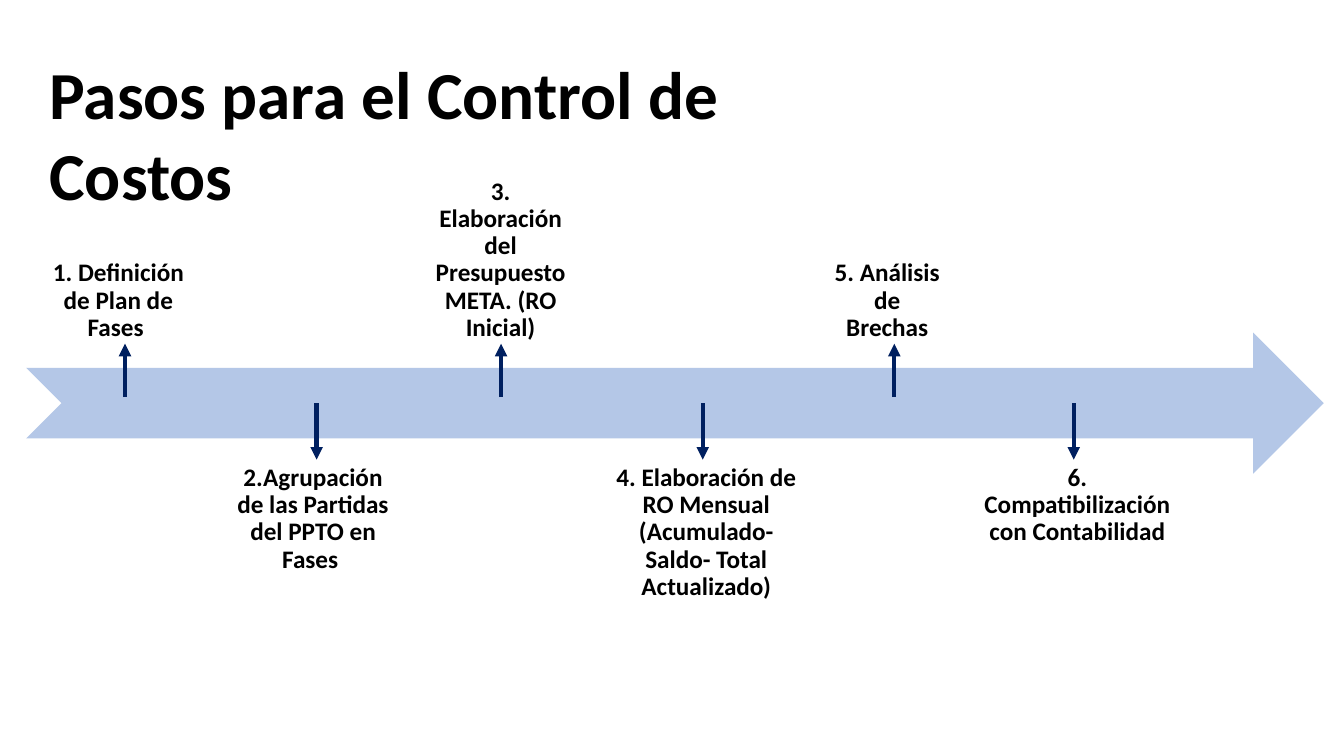
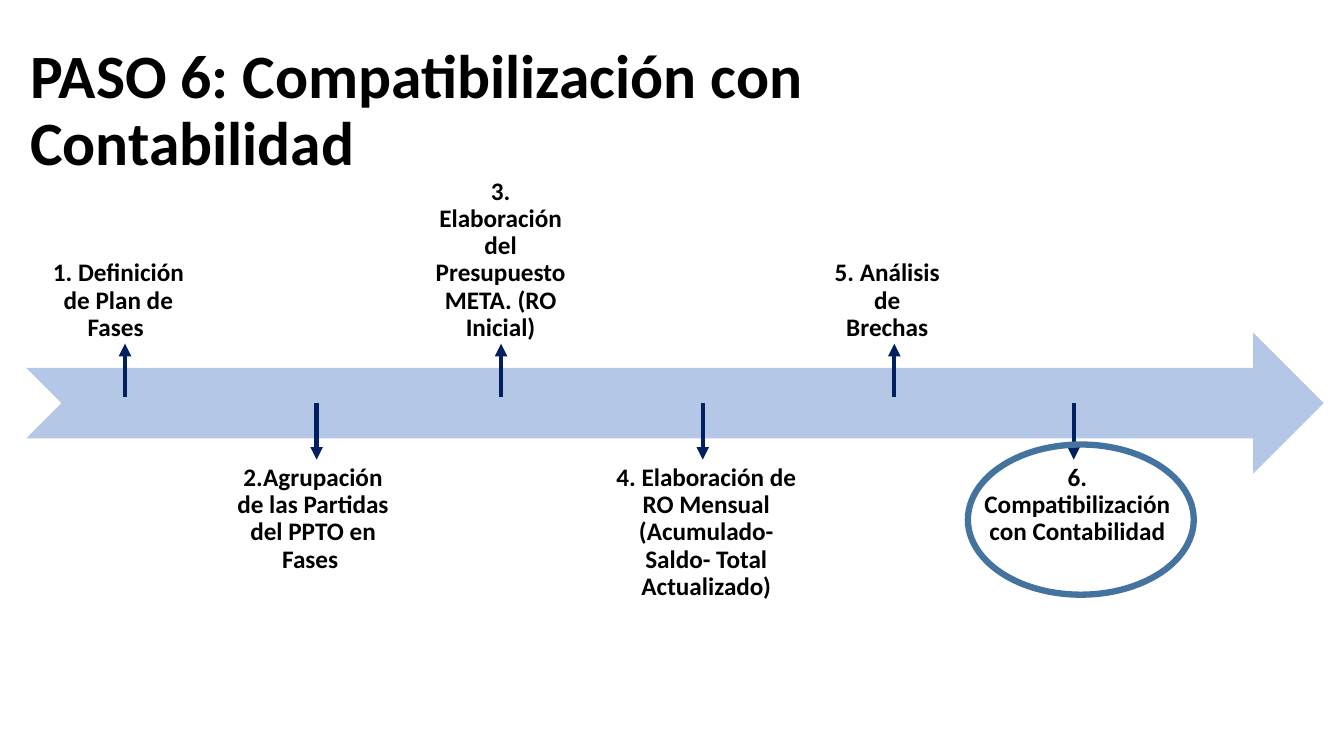
from lxml import etree
from pptx import Presentation
from pptx.dml.color import RGBColor
from pptx.enum.shapes import MSO_CONNECTOR, MSO_SHAPE
from pptx.enum.text import MSO_ANCHOR, MSO_AUTO_SIZE, PP_ALIGN
from pptx.oxml.ns import qn
from pptx.util import Inches, Pt

STRAIGHT = MSO_CONNECTOR.STRAIGHT
NOTCHED_ARROW, OVAL = MSO_SHAPE.NOTCHED_RIGHT_ARROW, MSO_SHAPE.OVAL
TOP, BOTTOM = MSO_ANCHOR.TOP, MSO_ANCHOR.BOTTOM
LEFT, CENTER = PP_ALIGN.LEFT, PP_ALIGN.CENTER
NO_AUTOFIT = MSO_AUTO_SIZE.NONE
TITLE_ONLY = 5

FONT = "Calibri"
INK, BAND, NAVY, RING = "000000", "B4C7E7", "002060", "43739E"

LABEL_HEIGHT = 1.89
UPPER_TOP, LOWER_TOP = 1.64, 4.47
UPPER_POINTER = (3.94, 3.41)
LOWER_POINTER = (4, 4.56)

# Label text, label left, label width, pointer x; steps alternate above and below the band
STEPS = [
    ("1. Definición de Plan de Fases ", 0.26, 1.83, 1.24),
    ("2.Agrupación de las Partidas del PPTO en Fases ", 2.16, 1.89, 3.14),
    ("3. Elaboración del Presupuesto META. (RO Inicial)", 4.12, 1.69, 4.97),
    ("4. Elaboración de RO Mensual (Acumulado- Saldo- Total Actualizado)",
     5.91, 2.19, 6.97),
    ("5. Análisis de Brechas", 8.13, 1.34, 8.87),
    ("6. Compatibilización con Contabilidad", 9.54, 2.29, 10.65),
]


def color(value):
    return RGBColor.from_string(value)


class Slides:
    """Holds the deck, its style and the page being drawn."""

    def __init__(self):
        self.deck = Presentation()
        self.deck.slide_width = Inches(13.33)
        self.deck.slide_height = Inches(7.5)
        self.page = None

    def add_page(self):
        layout = self.deck.slide_layouts[TITLE_ONLY]
        self.page = self.deck.slides.add_slide(layout)

    def set_text(self, box, text, size, align, anchor, spacing, inset_x, inset_y):
        frame = box.text_frame
        frame.word_wrap = True
        frame.auto_size = NO_AUTOFIT
        frame.vertical_anchor = anchor
        frame.margin_left = frame.margin_right = Inches(inset_x)
        frame.margin_top = frame.margin_bottom = Inches(inset_y)
        para = frame.paragraphs[0]
        para.alignment = align
        para.line_spacing = spacing
        para.space_before = Pt(0)
        span = para.add_run()
        span.text = text
        span.font.name = FONT
        span.font.size = Pt(size)
        span.font.bold = True
        span.font.color.rgb = color(INK)

    def title(self, text, left, top, width, height, size, anchor, spacing, inset_y):
        box = self.page.shapes.title
        box.left, box.top = Inches(left), Inches(top)
        box.width, box.height = Inches(width), Inches(height)
        self.set_text(box, text, size, LEFT, anchor, spacing, 0.1, inset_y)

    def label(self, text, left, top, width, anchor):
        box = self.page.shapes.add_textbox(
            Inches(left), Inches(top), Inches(width), Inches(LABEL_HEIGHT))
        self.set_text(box, text, 18, CENTER, anchor, 0.9, 0.14, 0.14)

    def shape(self, kind, left, top, width, height):
        shape = self.page.shapes.add_shape(
            kind, Inches(left), Inches(top), Inches(width), Inches(height))
        shape.shadow.inherit = False
        return shape

    def band(self):
        arrow = self.shape(NOTCHED_ARROW, 0.26, 3.3, 12.87, 1.4)
        arrow.fill.solid()
        arrow.fill.fore_color.rgb = color(BAND)
        arrow.line.fill.background()

    def ring(self, left, top, width, height):
        ring = self.shape(OVAL, left, top, width, height)
        ring.fill.background()
        ring.line.color.rgb = color(RING)
        ring.line.width = Pt(4.5)

    def pointer(self, x, start, end):
        line = self.page.shapes.add_connector(
            STRAIGHT, Inches(x), Inches(start), Inches(x), Inches(end))
        line.line.color.rgb = color(NAVY)
        line.line.width = Pt(3)
        properties = line._element.spPr
        outline = properties.find(qn("a:ln"))
        etree.SubElement(outline, qn("a:tailEnd"), type="triangle")
        etree.SubElement(properties, qn("a:effectLst"))

    def timeline(self):
        self.band()
        for index, (text, left, width, x) in enumerate(STEPS):
            if index % 2 == 0:
                self.label(text, left, UPPER_TOP, width, BOTTOM)
                self.pointer(x, *UPPER_POINTER)
            else:
                self.label(text, left, LOWER_TOP, width, TOP)
                self.pointer(x, *LOWER_POINTER)


def main():
    slides = Slides()

    slides.add_page()
    slides.title("Pasos para el Control de Costos",
                 0.39, 0.47, 8.47, 1.7, 48, TOP, 1, 0.05)
    slides.timeline()

    slides.add_page()
    slides.title("PASO 6: Compatibilización con Contabilidad",
                 0.2, 0.4, 11.1, 1.47, 44, BOTTOM, 0.9, 0.1)
    slides.timeline()
    slides.ring(9.6, 4.41, 2.24, 1.49)

    slides.deck.save("out.pptx")


if __name__ == "__main__":
    main()
